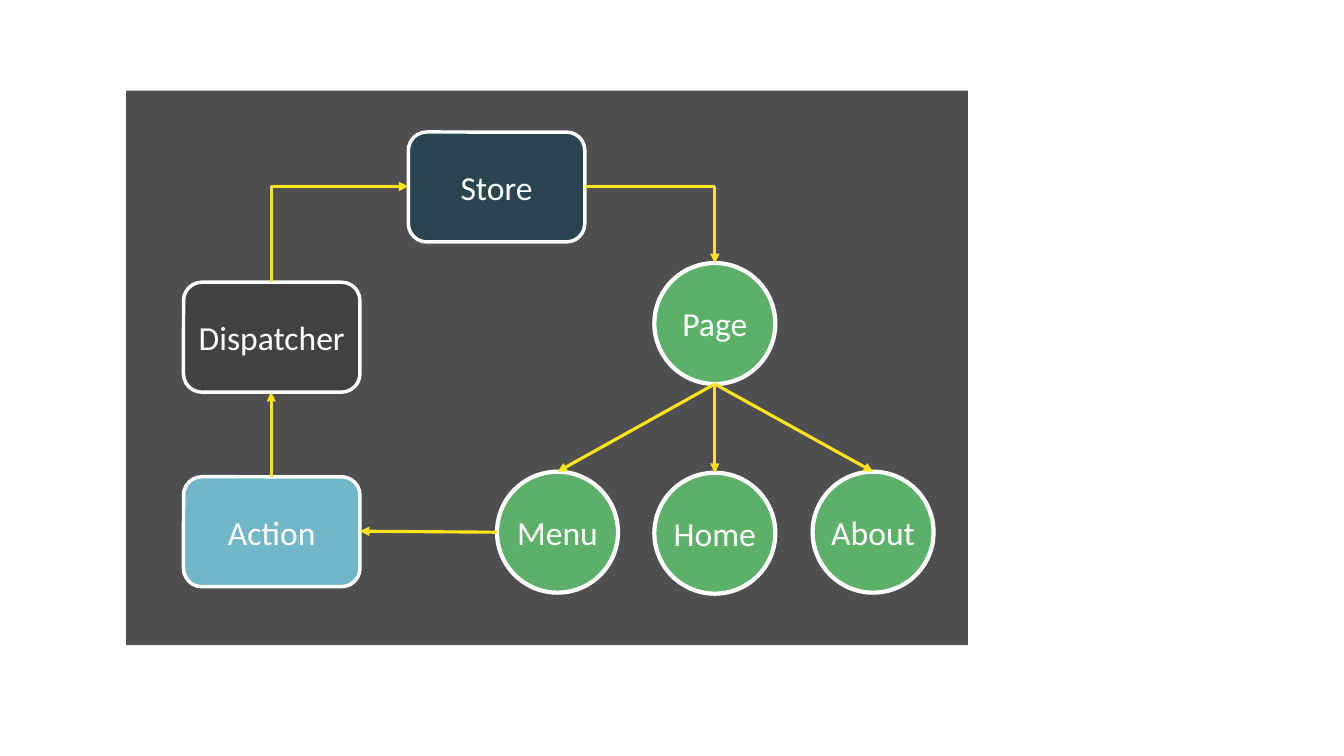
"""Build the data flow slide: store, views, action and dispatcher."""
from dataclasses import dataclass
from lxml.etree import SubElement
from pptx import Presentation
from pptx.dml.color import RGBColor
from pptx.enum.shapes import MSO_CONNECTOR, MSO_SHAPE
from pptx.enum.text import MSO_ANCHOR, PP_ALIGN
from pptx.oxml.ns import qn
from pptx.shapes.autoshape import Shape
from pptx.shapes.connector import Connector
from pptx.shapes.shapetree import SlideShapes
from pptx.util import Emu, Pt

SCALE = 9144
WHITE = RGBColor(0xFF, 0xFF, 0xFF)
GREY = RGBColor(0x4F, 0x4E, 0x50)
GREEN = RGBColor(0x5C, 0xB0, 0x67)
NAVY = RGBColor(0x2B, 0x45, 0x50)
BLUE = RGBColor(0x72, 0xB6, 0xC9)
DARK = RGBColor(0x43, 0x42, 0x42)
YELLOW = RGBColor(0xFE, 0xE5, 0x1B)


@dataclass(frozen=True)
class Node:
    """A labelled shape of the flow, measured in px."""
    text: str
    x: int
    y: int
    fill: RGBColor
    w: int = 175
    h: int = 109
    kind: MSO_SHAPE = MSO_SHAPE.ROUNDED_RECTANGLE
    edge: float = 2.5

    def pin(self, side: str) -> tuple[int, int]:
        """Return the middle of one side."""
        mid_x, mid_y = self.x + self.w // 2, self.y + self.h // 2
        return {
            "top": (mid_x, self.y),
            "left": (self.x, mid_y),
            "bottom": (mid_x, self.y + self.h),
            "right": (self.x + self.w, mid_y),
        }[side]


@dataclass(frozen=True)
class Link:
    """An arrow from a side of one node to a side of another."""
    start: Node
    leave: str
    end: Node
    enter: str
    bent: bool = False


def view(text: str, x: int, y: int) -> Node:
    """Return a round green node."""
    return Node(text, x, y, GREEN, 120, 120, MSO_SHAPE.OVAL, 3)


PAGE = view("Page", 649, 261)
MENU = view("Menu", 493, 468)
HOME = view("Home", 649, 469)
ABOUT = view("About", 806, 468)
STORE = Node("Store", 405, 131, NAVY)
ACTION = Node("Action", 182, 473, BLUE)
SENDER = Node("Dispatcher", 182, 280, DARK)

VIEWS = [PAGE, MENU, HOME, ABOUT]
BOXES = [STORE, ACTION, SENDER]
FAN = [Link(PAGE, "bottom", node, "top") for node in VIEWS[1:]]
LOOP = [
    Link(MENU, "left", ACTION, "right"),
    Link(SENDER, "top", STORE, "left", True),
    Link(ACTION, "top", SENDER, "bottom"),
    Link(STORE, "right", PAGE, "top", True),
]


def px(size: float) -> Emu:
    """Turn px into EMU."""
    return Emu(int(size * SCALE))


def add_block(shapes: SlideShapes, kind: MSO_SHAPE, x: int, y: int,
              w: int, h: int, fill: RGBColor) -> Shape:
    """Add a flat filled shape without an outline."""
    shape = shapes.add_shape(kind, px(x), px(y), px(w), px(h))
    shape.shadow.inherit = False
    shape.fill.solid()
    shape.fill.fore_color.rgb = fill
    shape.line.fill.background()
    return shape


def add_node(shapes: SlideShapes, node: Node) -> None:
    """Draw a node with its label."""
    shape = add_block(shapes, node.kind, node.x, node.y, node.w, node.h, node.fill)
    shape.line.color.rgb = WHITE
    shape.line.width = Pt(node.edge)
    frame = shape.text_frame
    frame.margin_left = frame.margin_right = 0
    frame.margin_top = frame.margin_bottom = 0
    frame.vertical_anchor = MSO_ANCHOR.MIDDLE
    frame.text = node.text
    line = frame.paragraphs[0]
    line.alignment = PP_ALIGN.CENTER
    font = line.runs[0].font
    font.name, font.size = "Calibri", Pt(24)
    font.color.rgb = WHITE


def add_bend(shapes: SlideShapes, link: Link) -> Connector:
    """Add a one-corner connector, turned a quarter left if it starts upward."""
    (x1, y1), (x2, y2) = link.start.pin(link.leave), link.end.pin(link.enter)
    rise = link.leave == "top"
    if rise:
        mid_x, mid_y = (x1 + x2) / 2, (y1 + y2) / 2
        half_w, half_h = abs(y2 - y1) / 2, abs(x2 - x1) / 2
        x1, x2 = mid_x - half_w, mid_x + half_w
        y1, y2 = mid_y - half_h, mid_y + half_h
    bend = shapes.add_connector(MSO_CONNECTOR.ELBOW, px(x1), px(y1), px(x2), px(y2))
    props = bend._element.spPr
    props.find(qn("a:prstGeom")).set("prst", "bentConnector2")
    if rise:
        props.find(qn("a:xfrm")).set("rot", str(270 * 60000))
    return bend


def add_link(shapes: SlideShapes, link: Link) -> None:
    """Draw a yellow arrow along a link."""
    if link.bent:
        arrow = add_bend(shapes, link)
    else:
        ends = link.start.pin(link.leave) + link.end.pin(link.enter)
        arrow = shapes.add_connector(MSO_CONNECTOR.STRAIGHT, *map(px, ends))
    arrow.line.color.rgb = YELLOW
    arrow.line.width = Pt(2.25)
    props = arrow._element.spPr
    SubElement(props.find(qn("a:ln")), qn("a:tailEnd"), type="triangle")
    SubElement(props, qn("a:effectLst"))


def main() -> None:
    """Build and save the slide."""
    deck = Presentation()
    deck.slide_width, deck.slide_height = px(1333), px(750)
    shapes = deck.slides.add_slide(deck.slide_layouts[6]).shapes
    add_block(shapes, MSO_SHAPE.RECTANGLE, 125, 90, 835, 550, GREY)
    for nodes, links in ((VIEWS, FAN), (BOXES, LOOP)):
        for node in nodes:
            add_node(shapes, node)
        for link in links:
            add_link(shapes, link)
    deck.save("out.pptx")


if __name__ == "__main__":
    main()
